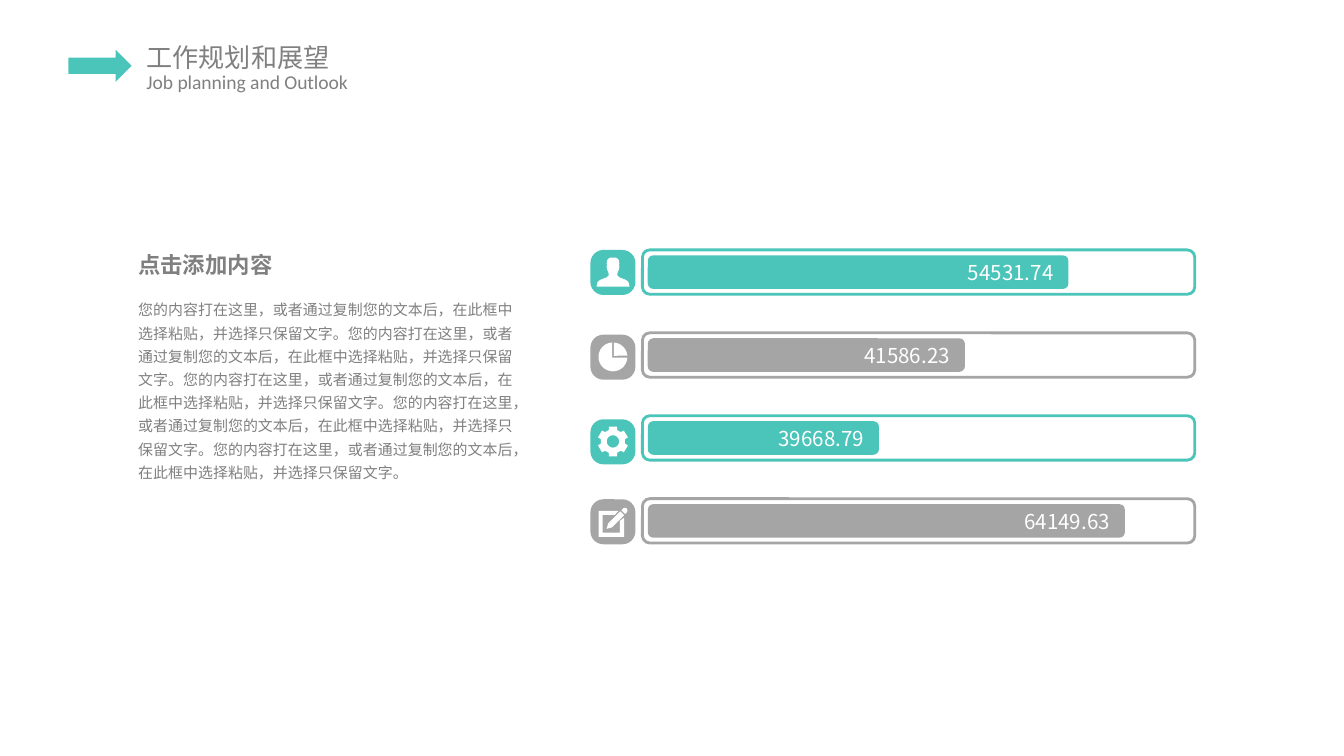
"""Build the job planning and outlook slide with four icon progress bars."""
import math

import lxml.etree
import pptx
import pptx.dml.color
import pptx.enum.shapes
import pptx.enum.text
import pptx.oxml.ns
import pptx.util

COLORS = {"teal": "4BC5B9", "silver": "A5A5A5", "gray": "808080", "white": "FFFFFF"}
CJK = "Noto Sans CJK SC"
SHAPE = pptx.enum.shapes.MSO_SHAPE
ALIGN = pptx.enum.text.PP_ALIGN

prs = pptx.Presentation()
prs.slide_width = pptx.util.Inches(10)
prs.slide_height = pptx.util.Inches(5.625)
s = prs.slides.add_slide(prs.slide_layouts[6])
cell = prs.slide_width / 100


def add_block(kind, col, row, cols, rows, fill=None, line=None):
    box = [round(n * cell) for n in (col, row, cols, rows)]
    if kind is None:
        return s.shapes.add_textbox(*box)
    sp = s.shapes.add_shape(kind, *box)
    sp.shadow.inherit = False
    if fill:
        sp.fill.solid()
        sp.fill.fore_color.rgb = pptx.dml.color.RGBColor.from_string(COLORS[fill])
    else:
        sp.fill.background()
    if line:
        sp.line.color.rgb = pptx.dml.color.RGBColor.from_string(COLORS[line])
        sp.line.width = pptx.util.Pt(1.5)
    else:
        sp.line.fill.background()
    return sp


def write(sp, text, size, color, font=CJK, bold=False, spacing=1.0, align=ALIGN.LEFT,
          wrap=True, inset=(0.1, 0.05)):
    tf = sp.text_frame
    tf.word_wrap = wrap
    tf.margin_left = tf.margin_right = pptx.util.Inches(inset[0])
    tf.margin_top = tf.margin_bottom = pptx.util.Inches(inset[1])
    p = tf.paragraphs[0]
    p.text = text
    p.alignment = align
    p.line_spacing = spacing
    p.font.size = pptx.util.Pt(size)
    p.font.bold = bold
    p.font.color.rgb = pptx.dml.color.RGBColor.from_string(COLORS[color])
    p.font.name = font
    props = p._p.pPr.find(pptx.oxml.ns.qn("a:defRPr"))
    lxml.etree.SubElement(props, pptx.oxml.ns.qn("a:ea"), typeface=font)
    return tf


add_block(SHAPE.RIGHT_ARROW, 5.1, 3.7, 4.7, 2.4, "teal")

sentence = "您的内容打在这里，或者通过复制您的文本后，在此框中选择粘贴，并选择只保留文字。"
texts = [
    ((9.8, 2.6, 15.9, 3.4), "工作规划和展望", 14, dict(wrap=False, inset=(0.11, 0.05))),
    ((9.8, 4.7, 17.3, 2.8), "Job planning and Outlook", 10.5,
     dict(font="Calibri", wrap=False, inset=(0.11, 0.05))),
    ((9.3, 17.7, 24.3, 3), "点击添加内容", 12, dict(bold=True, spacing=1.5, inset=(0.1, 0))),
    ((9.3, 21.5, 30.7, 15), sentence * 5, 8, dict(spacing=1.3)),
]
for box, text, size, options in texts:
    tf = write(add_block(None, *box), text, size, "gray", **options)
    tf.auto_size = pptx.enum.text.MSO_AUTO_SIZE.SHAPE_TO_FIT_TEXT

mid = 168
half_person = [(0, 56), (25, 58), (42, 72), (47, 100), (45, 116), (48, 126), (42, 150),
               (33, 172), (32, 190), (50, 205), (95, 222), (115, 238), (123, 272)]
person = [[(mid + x, y) for x, y in half_person]
          + [(mid - x, y) for x, y in reversed(half_person)]]

pie = [[corner] + [(mid + 107 * math.cos(math.radians(a)), 166 + 107 * math.sin(math.radians(a)))
                   for a in range(start, end + 1, 3)]
       for corner, start, end in [((175, 158), -86, -4), ((162, 171), 3, 267)]]

teeth = [(60 * k + 30 + turn, radius) for k in range(6)
         for turn, radius in [(-20, 90), (-15, 115), (15, 115), (20, 90)]]
hole = [(a, 46) for a in range(0, 360, 10)]
gear = [[(mid + r * math.cos(math.radians(a)), 165 + r * math.sin(math.radians(a)))
         for a, r in ring] for ring in (teeth, hole)]

pencil = [
    [(220, 160), (220, 249), (90, 249), (90, 117), (180, 117), (208, 87), (60, 87),
     (60, 279), (250, 279), (250, 138)],
    [(132, 180), (120, 220), (160, 209), (250, 119), (221, 90)],
    [(230, 81), (243, 68), (256, 62), (270, 68), (276, 84), (270, 98), (259, 110)],
]

bars = [
    ("54531.74", 31.3, "teal", 18.6, person),
    ("41586.23", 23.6, "silver", 24.9, pie),
    ("39668.79", 17.2, "teal", 31.2, gear),
    ("64149.63", 35.5, "silver", 37.15, pencil),
]
for i, (value, length, color, tile_row, icon) in enumerate(bars):
    tile = add_block(SHAPE.ROUNDED_RECTANGLE, 43.93, tile_row, 3.35, 3.35, color)
    tile.adjustments[0] = 0.29

    outline = s.shapes.build_freeform(*map(round, icon[0][0]), scale=cell / 100)
    outline.add_line_segments(icon[0][1:], close=True)
    for contour in icon[1:]:
        outline.move_to(*contour[0])
        outline.add_line_segments(contour[1:], close=True)
    sp = outline.convert_to_shape(tile.left, tile.top)
    sp.shadow.inherit = False
    sp.fill.solid()
    sp.fill.fore_color.rgb = pptx.dml.color.RGBColor.from_string(COLORS["white"])
    sp.line.fill.background()

    row = 18.6 + 6.17 * i
    add_block(SHAPE.ROUNDED_RECTANGLE, 47.8, row, 41.1, 3.3, line=color)
    bar = add_block(SHAPE.ROUNDED_RECTANGLE, 48.2, row + 0.4, length, 2.5, color)
    tf = write(bar, value, 11, "white", align=ALIGN.RIGHT)
    tf.vertical_anchor = pptx.enum.text.MSO_ANCHOR.MIDDLE

prs.save("out.pptx")
